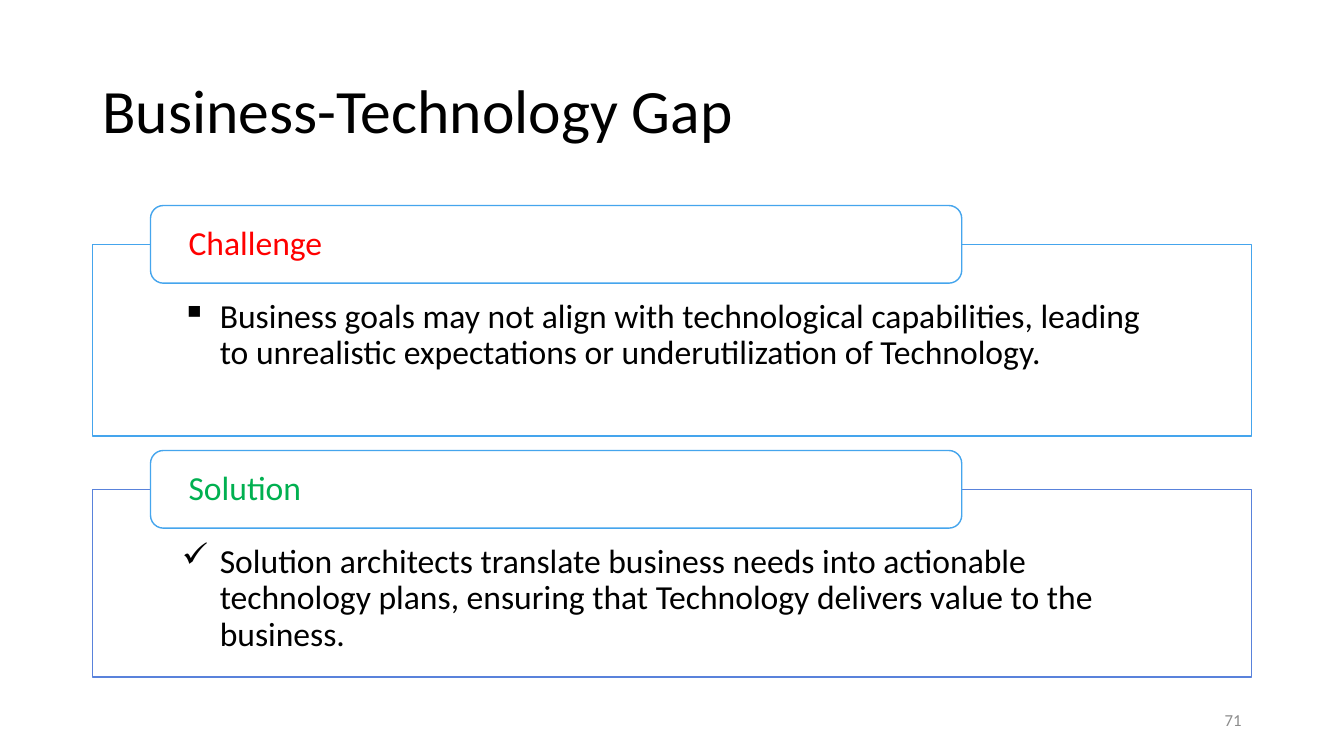
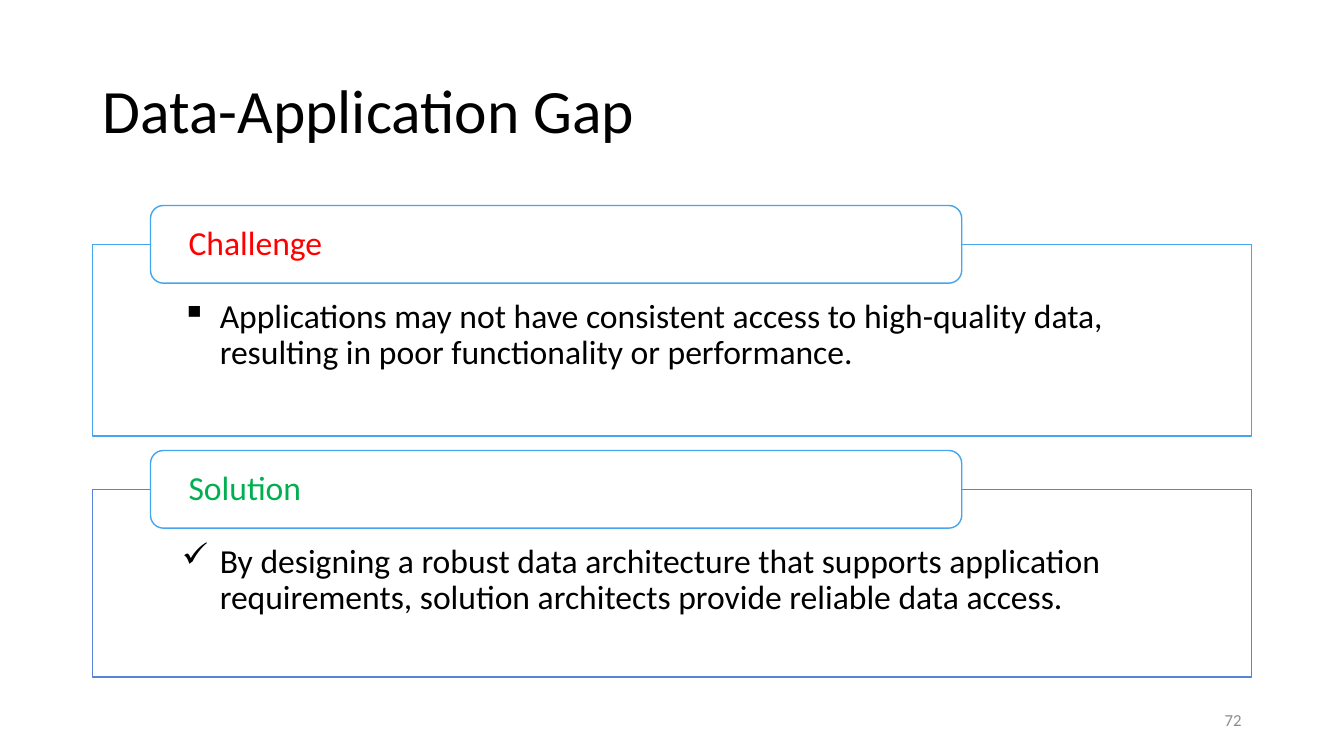
from pptx import Presentation
from pptx.dml.color import RGBColor
from pptx.enum.shapes import MSO_SHAPE as Shape
from pptx.enum.text import MSO_ANCHOR as Anchor, PP_ALIGN as Align
from pptx.oxml.ns import qn
from pptx.util import Pt
from lxml import etree

# Content: page number, title, challenge text, solution text
GAPS = [
    (71, "Business-Technology Gap",
     "Business goals may not align with technological capabilities, leading to "
     "unrealistic expectations or underutilization of Technology.",
     "Solution architects translate business needs into actionable technology plans, "
     "ensuring that Technology delivers value to the business."),
    (72, "Data-Application Gap",
     "Applications may not have consistent access to high-quality data, resulting in "
     "poor functionality or performance.",
     "By designing a robust data architecture that supports application requirements, "
     "solution architects provide reliable data access."),
]
# Sections: heading, heading colour, panel line colour, bullet, panel height
SECTIONS = [
    ("Challenge", "FF0000", "45A5ED", "▪", 137),
    ("Solution", "00B050", "5982DB", "✓", 134),
]

# Shared style and layout, in points
FONT, BLACK, WHITE, GREY, BLUE = "Calibri", "000000", "FFFFFF", "8C8C8C", "45A5ED"
LEFT, WIDTH = 66, 828
TAB_LEFT, TAB_WIDTH, TAB_HEIGHT = 107.5, 579.5, 55.5
FIRST_TAB_TOP, SECTION_PITCH = 146.8, 175
BULLET_INDENT = 27


def rgb(colour):
    return RGBColor.from_string(colour)


def points(*lengths):
    return [Pt(length) for length in lengths]


def write(shape, text, size, colour, anchor=Anchor.MIDDLE, align=Align.LEFT, insets=None):
    frame = shape.text_frame
    frame.word_wrap = True
    frame.vertical_anchor = anchor
    if insets:
        (frame.margin_left, frame.margin_top,
         frame.margin_right, frame.margin_bottom) = points(*insets)
    paragraph = frame.paragraphs[0]
    paragraph.text = text
    paragraph.alignment = align
    paragraph.line_spacing = 0.9
    font = paragraph.font
    font.name, font.size, font.color.rgb = FONT, Pt(size), rgb(colour)
    return paragraph


def add_box(slide, kind, bounds, line_colour):
    box = slide.shapes.add_shape(kind, *points(*bounds))
    box.shadow.inherit = False
    box.fill.solid()
    box.fill.fore_color.rgb = rgb(WHITE)
    box.line.color.rgb = rgb(line_colour)
    box.line.width = Pt(1)
    return box


def set_bullet(paragraph, character):
    properties = paragraph._p.get_or_add_pPr()
    properties.set("marL", str(Pt(BULLET_INDENT)))
    properties.set("indent", str(-Pt(BULLET_INDENT)))
    bullet = etree.Element(qn("a:buChar"), char=character)
    # A bullet precedes the default run properties
    properties.find(qn("a:defRPr")).addprevious(bullet)


def add_section(slide, index, text):
    heading, heading_colour, line_colour, bullet, height = SECTIONS[index]
    top = FIRST_TAB_TOP + index * SECTION_PITCH
    panel = add_box(slide, Shape.RECTANGLE,
                    (LEFT, top + TAB_HEIGHT / 2, WIDTH, height), line_colour)
    statement = write(panel, text, 24, BLACK, Anchor.TOP, insets=(64, 39.5, 64, 13.5))
    set_bullet(statement, bullet)
    tab = add_box(slide, Shape.ROUNDED_RECTANGLE,
                  (TAB_LEFT, top, TAB_WIDTH, TAB_HEIGHT), BLUE)
    write(tab, heading, 24, heading_colour, insets=(24.5, 3, 24.5, 3))


def add_gap_slide(prs, number, heading, *texts):
    slide = prs.slides.add_slide(prs.slide_layouts[5])
    title = slide.shapes.title
    title.left, title.top, title.width, title.height = points(LEFT, 28.75, WIDTH, 104.4)
    write(title, heading, 44, BLACK)
    for index, text in enumerate(texts):
        add_section(slide, index, text)
    page_number = slide.shapes.add_textbox(*points(678, 500.5, 216, 28.75))
    write(page_number, str(number), 12, GREY, align=Align.RIGHT)


def main():
    prs = Presentation()
    prs.slide_width, prs.slide_height = points(960, 540)
    for gap in GAPS:
        add_gap_slide(prs, *gap)
    prs.save("out.pptx")


if __name__ == "__main__":
    main()
